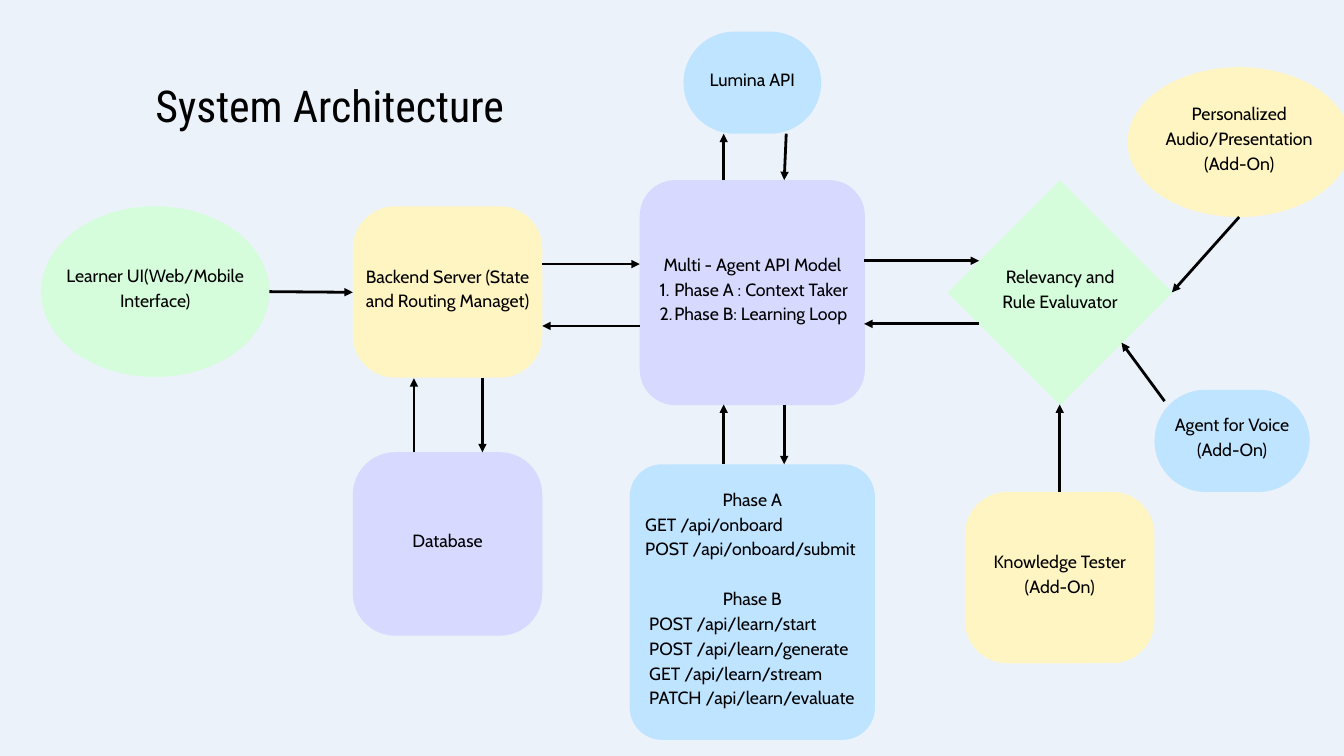
"""Build the System Architecture slide: boxes joined by arrows."""
from lxml import etree
from pptx import Presentation
from pptx.dml.color import RGBColor
from pptx.enum.shapes import MSO_CONNECTOR, MSO_SHAPE
from pptx.enum.text import MSO_ANCHOR, PP_ALIGN
from pptx.oxml.ns import qn
from pptx.util import Inches, Pt

OVAL, ROUND, KITE = MSO_SHAPE.OVAL, MSO_SHAPE.ROUNDED_RECTANGLE, MSO_SHAPE.DIAMOND
LINE = MSO_CONNECTOR.STRAIGHT
MID, LEFT = PP_ALIGN.CENTER, PP_ALIGN.LEFT

HUES = {
    "back": "EBF2FA", "ink": "000000", "green": "D5FDDB",
    "cream": "FFF5C2", "lilac": "D7D9FF", "blue": "BFE4FF",
}
KINDS = {
    "mid": {"alignment": MID, "line_spacing": Pt(26.6)},
    "gap": {"alignment": MID, "line_spacing": Pt(26.6), "space_before": Pt(26.6)},
    "left": {"alignment": LEFT, "line_spacing": Pt(26.6)},
    "title": {"alignment": MID, "line_spacing": Pt(65.8)},
}
FONTS = {
    "body": {"name": "Cabin", "size": Pt(19)},
    "title": {"name": "Roboto Condensed", "size": Pt(47)},
}
FRAME = {
    "vertical_anchor": MSO_ANCHOR.MIDDLE, "margin_left": 0, "margin_right": 0,
    "margin_top": 0, "margin_bottom": Inches(0.16),
}
BARE = {"word_wrap": True, "margin_left": 0, "margin_right": 0,
        "margin_top": 0, "margin_bottom": 0}


def apply(target, values):
    for name, value in values.items():
        setattr(target, name, value)


def write(para, text, kind, font):
    para.text = text
    apply(para, KINDS[kind])
    for run in para.runs:
        apply(run.font, FONTS[font])
        run.font.color.rgb = RGBColor.from_string(HUES["ink"])


deck = Presentation()
deck.slide_width, deck.slide_height = Inches(20), Inches(11.25)
slide = deck.slides.add_slide(deck.slide_layouts[6])
slide.background.fill.solid()
slide.background.fill.fore_color.rgb = RGBColor.from_string(HUES["back"])

# form, hue, place, corner radius, centred lines
BOXES = [
    (OVAL, "green", (0.61, 3.07, 3.4, 2.54), 0, ["Learner UI(Web/Mobile\vInterface)"]),
    (ROUND, "cream", (5.25, 3.07, 2.82, 2.55), 0.63,
     ["Backend Server (State\vand Routing Managet)"]),
    (ROUND, "lilac", (5.25, 6.73, 2.82, 2.73), 0.63, ["Database"]),
    (KITE, "green", (14.1, 2.68, 3.35, 3.35), 0, ["Relevancy and\vRule Evaluvator"]),
    (ROUND, "blue", (10.17, 0.47, 2.05, 1.52), 0.76, ["Lumina API"]),
    (OVAL, "cream", (16.78, 1, 3.32, 2.23), 0,
     ["Personalized\vAudio/Presentation", "(Add-On)"]),
    (ROUND, "cream", (14.36, 7.32, 2.82, 2.55), 0.63, ["Knowledge Tester", "(Add-On)"]),
    (ROUND, "blue", (17.18, 5.8, 2.31, 1.52), 0.76, ["Agent for Voice", "(Add-On)"]),
    (ROUND, "lilac", (9.52, 2.68, 3.35, 3.35), 0.53, [
        "Multi - Agent API Model",
        ("Phase A : Context Taker", 0.36, True),
        ("Phase B: Learning Loop", 0.36, True),
    ]),
    (ROUND, "blue", (9.37, 6.91, 3.65, 4.1), 0.48, [
        "Phase A",
        ("GET /api/onboard", 0.09, False),
        ("POST /api/onboard/submit", 0.09, False),
        "Phase B",
        ("POST /api/learn/start", 0.15, False),
        ("POST /api/learn/generate", 0.15, False),
        ("GET /api/learn/stream", 0.15, False),
        ("PATCH /api/learn/evaluate", 0.15, False),
    ]),
]
for form, hue, place, curve, lines in BOXES:
    box = slide.shapes.add_shape(form, *map(Inches, place))
    box.shadow.inherit = False
    box.fill.solid()
    box.fill.fore_color.rgb = RGBColor.from_string(HUES[hue])
    box.line.fill.background()
    if curve:
        box.adjustments[0] = min(0.5, curve / min(place[2:]))
    frame = box.text_frame
    apply(frame, FRAME)
    frame.word_wrap = any(isinstance(line, tuple) for line in lines)
    for i, line in enumerate(lines):
        para = frame.paragraphs[0] if i == 0 else frame.add_paragraph()
        if isinstance(line, str):
            write(para, line, "gap" if line == "Phase B" else "mid", "body")
            continue
        text, indent, count = line
        props = para._p.get_or_add_pPr()
        props.set("marL", str(Inches(indent)))
        if count:
            props.set("indent", str(Inches(-0.22)))
            etree.SubElement(props, qn("a:buAutoNum"), type="arabicPeriod")
        write(para, text, "left", "body")

ARROWS = [
    (4.01, 4.34, 5.25, 4.35), (8.07, 3.93, 9.52, 3.93), (9.52, 4.85, 8.07, 4.85),
    (7.18, 5.63, 7.18, 6.73), (6.16, 6.73, 6.16, 5.63), (11.67, 6.02, 11.67, 6.91),
    (10.77, 6.9, 10.77, 6.02), (12.86, 3.88, 14.57, 3.88), (14.57, 4.82, 12.86, 4.82),
    (18.44, 3.23, 17.44, 4.35), (11.7, 1.99, 11.67, 2.68), (10.77, 2.68, 10.77, 1.99),
    (15.77, 7.32, 15.77, 6.02), (17.33, 5.97, 16.69, 5.1),
]
for ends in ARROWS:
    arrow = slide.shapes.add_connector(LINE, *map(Inches, ends))
    arrow.line.width = Pt(3)
    arrow.line.color.rgb = RGBColor.from_string(HUES["ink"])
    etree.SubElement(arrow.line._get_or_add_ln(), qn("a:tailEnd"), type="triangle")
    etree.SubElement(arrow._element.spPr, qn("a:effectLst"))

title = slide.shapes.add_textbox(*map(Inches, (1.46, 1.04, 6.9, 0.87))).text_frame
apply(title, BARE)
write(title.paragraphs[0], "System Architecture", "title", "title")

deck.save("out.pptx")
